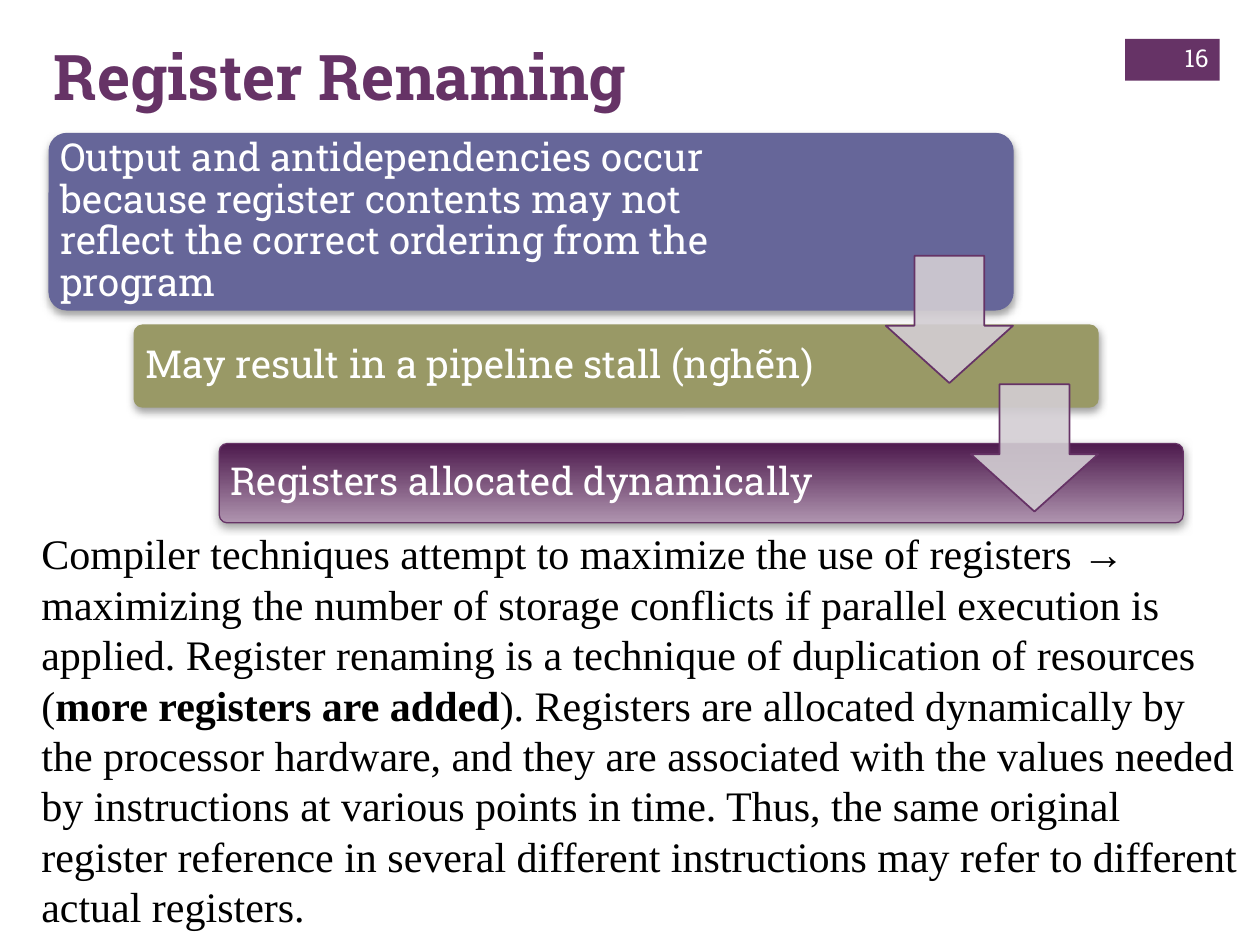
from lxml.etree import SubElement
from pptx import Presentation
from pptx.dml.color import RGBColor
from pptx.enum.shapes import MSO_SHAPE as Preset
from pptx.enum.text import MSO_ANCHOR as Anchor, PP_ALIGN as Align
from pptx.oxml.ns import qn
from pptx.util import Inches, Pt

COLORS = {
    "plum": "663366", "indigo": "666699", "olive": "999966",
    "deep_plum": "4D1A4D", "pale_plum": "AF94AF", "arrow": "D3CED3",
    "shadow": "808080", "white": "FFFFFF", "black": "000000",
}
HEADING_FONT, BODY_FONT = "Roboto Slab", "Times New Roman"
COLUMNS, ROWS = 100, 75
STEP = 6.75


def color(name):
    return RGBColor.from_string(COLORS[name])


class SlideBuilder:
    """Draws styled elements on one slide, placed by grid columns and rows."""

    def __init__(self, presentation):
        self.slide = presentation.slides.add_slide(presentation.slide_layouts[6])
        self.column = presentation.slide_width / COLUMNS
        self.row = presentation.slide_height / ROWS

    def place(self, left, top, width, height):
        return (round(left * self.column), round(top * self.row),
                round(width * self.column), round(height * self.row))

    def shape(self, preset, box, fill, line=None, weight=0.75, adjustments=()):
        shape = self.slide.shapes.add_shape(preset, *self.place(*box))
        shape.shadow.inherit = False
        for index, value in enumerate(adjustments):
            shape.adjustments[index] = value
        if isinstance(fill, tuple):
            shape.fill.gradient()
            shape.fill.gradient_angle = 270
            for stop, name in zip(shape.fill.gradient_stops, fill):
                stop.color.rgb = color(name)
        else:
            shape.fill.solid()
            shape.fill.fore_color.rgb = color(fill)
        if line:
            shape.line.color.rgb = color(line)
            shape.line.width = Pt(weight)
        else:
            shape.line.fill.background()
        return shape

    def text(self, box, runs, size, name="white", font=HEADING_FONT,
             anchor=Anchor.TOP, align=Align.LEFT, spacing=None, inset=None):
        frame = self.slide.shapes.add_textbox(*self.place(*box)).text_frame
        frame.word_wrap = True
        frame.vertical_anchor = anchor
        if inset is not None:
            frame.margin_left = frame.margin_right = Inches(inset)
            frame.margin_top = frame.margin_bottom = Inches(inset)
        paragraph = frame.paragraphs[0]
        paragraph.alignment = align
        paragraph.line_spacing = spacing
        for words, bold in runs:
            run = paragraph.add_run()
            run.text = words
            run.font.name, run.font.size, run.font.bold = font, Pt(size), bold
            run.font.color.rgb = color(name)

    def card(self, index, top, height, words, fill, line, text_width):
        left = 3.9 + index * STEP
        shape = self.shape(Preset.ROUNDED_RECTANGLE, (left, top, 76.5, height),
                           fill, line, adjustments=[0.1])
        effects = shape._element.spPr.find(qn("a:effectLst"))
        shadow = SubElement(effects, qn("a:outerShdw"), blurRad=str(Pt(5)),
                            dist=str(Pt(2)), dir="5400000", rotWithShape="0")
        tint = SubElement(shadow, qn("a:srgbClr"), val=COLORS["shadow"])
        SubElement(tint, qn("a:alpha"), val="75000")
        self.text((left, top, text_width, height), [(words, False)], 22,
                  anchor=Anchor.MIDDLE, spacing=0.9, inset=0.09)

    def arrow(self, index):
        box = (70.3 + index * STEP, 20.3 + index * 10.2, 10.1, 10.1)
        shape = self.shape(Preset.DOWN_ARROW, box, "arrow", "plum", 1, [0.55, 0.45])
        tint = shape._element.spPr.find(qn("a:solidFill"))[0]
        SubElement(tint, qn("a:alpha"), val="90000")


def main():
    presentation = Presentation()
    presentation.slide_width, presentation.slide_height = Inches(10), Inches(7.5)
    builder = SlideBuilder(presentation)

    builder.shape(Preset.RECTANGLE, (89.3, 3.1, 7.5, 3.3), "plum")
    cards = [
        (10.6, 14, "Output and antidependencies occur because register contents "
         "may not reflect the correct ordering from the program",
         "indigo", "indigo", 60.6),
        (25.8, 6.5, "May result in a pipeline stall (nghẽn)", "olive", "olive", 59.6),
        (35.2, 6.3, "Registers allocated dynamically",
         ("deep_plum", "pale_plum"), "plum", 59.6),
    ]
    for index, card in enumerate(cards):
        builder.card(index, *card)
    for index in range(len(cards) - 1):
        builder.arrow(index)

    builder.text((3.3, 2.5, 82.6, 12.2), [("Register Renaming", True)], 36, "plum")
    builder.text((2.3, 41.4, 96.9, 33.3), [
        ("Compiler techniques attempt to maximize the use of registers → maximizing "
         "the number of storage conflicts if parallel execution is applied. Register "
         "renaming is a technique of duplication of resources (", False),
        ("more registers are added", True),
        ("). Registers are allocated dynamically by the processor hardware, and they "
         "are associated with the values needed by instructions at various points in "
         "time. Thus, the same original register reference in several different "
         "instructions may refer to different actual registers.", False),
    ], 24, "black", BODY_FONT)
    builder.text((90.8, 2.6, 6.1, 4), [("16", False)], 14,
                 anchor=Anchor.MIDDLE, align=Align.RIGHT)

    presentation.save("out.pptx")


if __name__ == "__main__":
    main()
